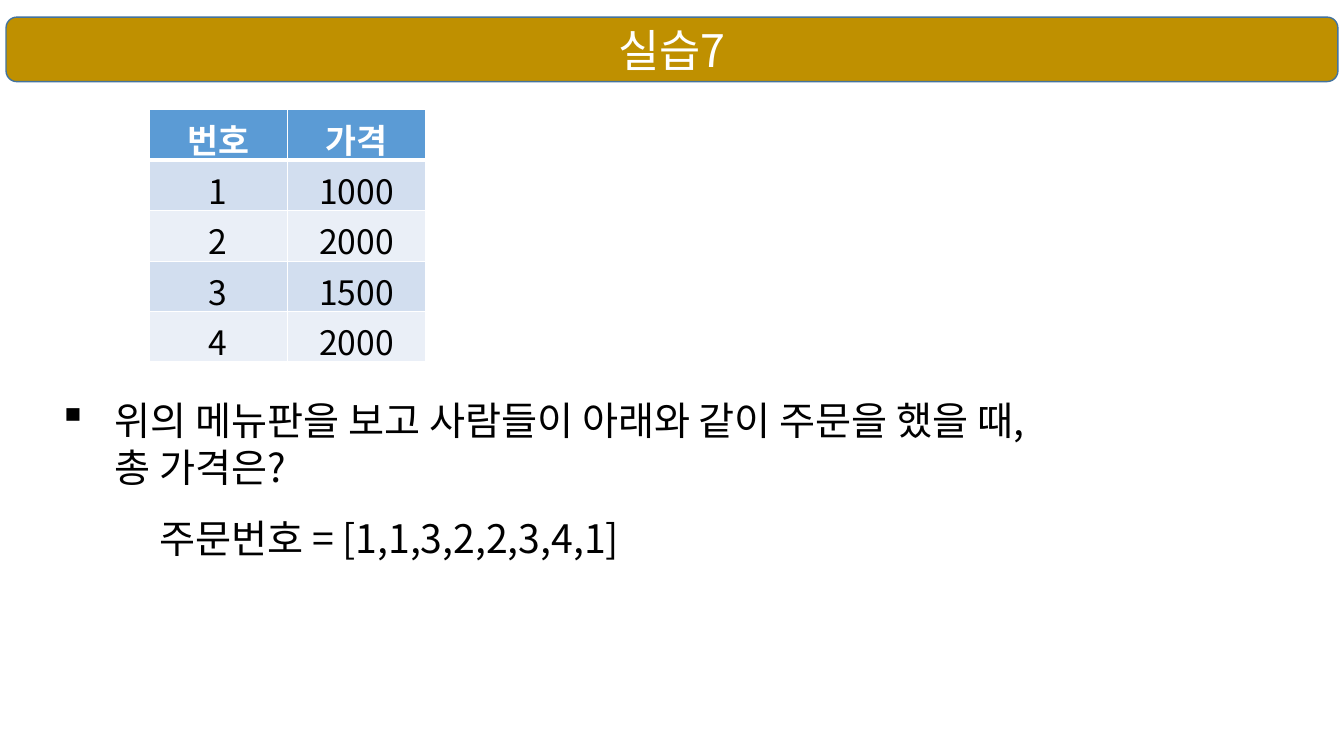
from dataclasses import dataclass

from lxml.etree import SubElement
from pptx import Presentation
from pptx.dml.color import RGBColor as Color
from pptx.enum.shapes import MSO_SHAPE as Shape
from pptx.enum.text import MSO_ANCHOR as Anchor, MSO_AUTO_SIZE as AutoSize, PP_ALIGN as Align
from pptx.oxml.ns import qn
from pptx.util import Inches, Pt


@dataclass(frozen=True)
class Theme:
    font: str = "Noto Sans CJK KR"
    title_size: int = 32
    body_size: int = 28
    table_size: int = 24
    white: str = "FFFFFF"
    black: str = "000000"
    gold: str = "BF9000"
    outline: str = "43739E"
    header: str = "5B9BD5"
    bands: tuple = ("D2DEEF", "EAEFF7")


THEME = Theme()
MENU = [("번호", "가격"), ("1", "1000"), ("2", "2000"), ("3", "1500"), ("4", "2000")]


def paint(fill, color):
    fill.solid()
    fill.fore_color.rgb = Color.from_string(color)


def write(frame, text, size, color, align=Align.LEFT, bold=False):
    """Fill the first paragraph, with one font for Latin and Korean letters."""
    para = frame.paragraphs[0]
    para.text = text
    para.alignment = align
    for font in [para.font] + [span.font for span in para.runs]:
        font.size, font.bold, font.name = Pt(size), bold, THEME.font
        font.color.rgb = Color.from_string(color)
        SubElement(font._rPr, qn("a:ea"), typeface=THEME.font)
    return para


def add_title(page, box, text):
    bar = page.shapes.add_shape(Shape.ROUNDED_RECTANGLE, *map(Inches, box))
    bar.shadow.inherit = False
    paint(bar.fill, THEME.gold)
    paint(bar.line.fill, THEME.outline)
    bar.line.width = Pt(1)
    bar.text_frame.vertical_anchor = Anchor.MIDDLE
    write(bar.text_frame, text, THEME.title_size, THEME.white, Align.CENTER)


def add_body(page, box, text):
    frame = page.shapes.add_textbox(*map(Inches, box)).text_frame
    frame.word_wrap = False
    frame.auto_size = AutoSize.SHAPE_TO_FIT_TEXT
    return write(frame, text, THEME.body_size, THEME.black)


def add_bullet(para, indent):
    properties = para._p.get_or_add_pPr()
    properties.set("marL", str(Inches(indent)))
    properties.set("indent", str(-Inches(indent)))
    bullet = SubElement(properties, qn("a:buChar"), char="▪")
    properties.insert(0, bullet)


def add_borders(cell, bottom):
    properties = cell._tc.get_or_add_tcPr()
    widths = {"a:lnL": 1, "a:lnR": 1, "a:lnT": 1, "a:lnB": bottom}
    for place, (side, width) in enumerate(widths.items()):
        line = SubElement(properties, qn(side), w=str(Pt(width)))
        fill = SubElement(line, qn("a:solidFill"))
        SubElement(fill, qn("a:srgbClr"), val=THEME.white)
        properties.insert(place, line)


def add_menu(page, box, rows):
    table = page.shapes.add_table(len(rows), len(rows[0]), *map(Inches, box)).table
    for row, values in enumerate(rows):
        is_header = row == 0
        fill = THEME.header if is_header else THEME.bands[(row - 1) % 2]
        color = THEME.white if is_header else THEME.black
        for column, value in enumerate(values):
            cell = table.cell(row, column)
            paint(cell.fill, fill)
            add_borders(cell, bottom=3 if is_header else 1)
            write(cell.text_frame, value, THEME.table_size, color, Align.CENTER, is_header)


def build_exercise(page):
    add_body(page, (1.48, 5.05, 4.89, 0.57), "주문번호 = [1,1,3,2,2,3,4,1]")
    question = add_body(page, (0.48, 3.88, 11, 1.04),
                        "위의 메뉴판을 보고 사람들이 아래와 같이 주문을 했을 때,\v총 가격은?")
    add_bullet(question, 0.56)
    add_menu(page, (1.48, 1.09, 2.74, 2.5), MENU)
    add_title(page, (0.06, 0.17, 13.21, 0.64), "실습7")


def main():
    deck = Presentation()
    deck.slide_width, deck.slide_height = Inches(13.33), Inches(7.5)
    build_exercise(deck.slides.add_slide(deck.slide_layouts[6]))
    deck.save("out.pptx")


if __name__ == "__main__":
    main()
